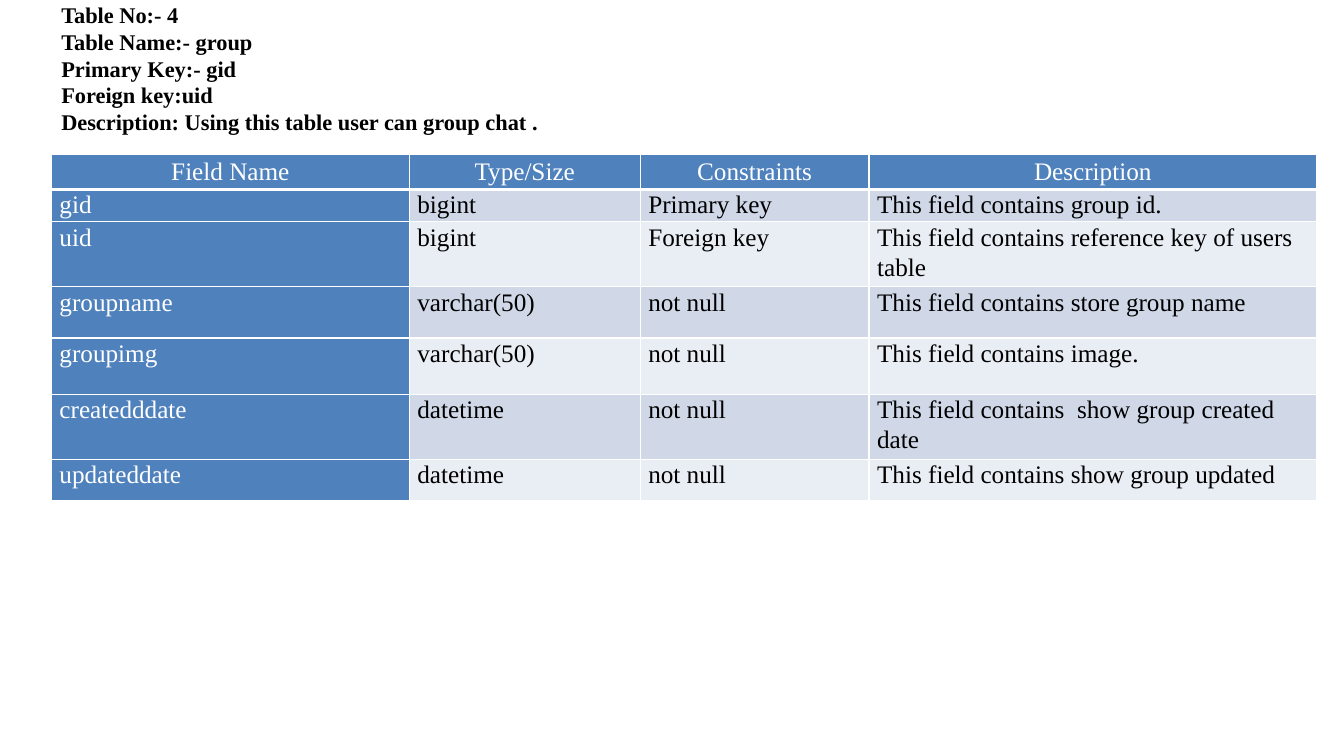
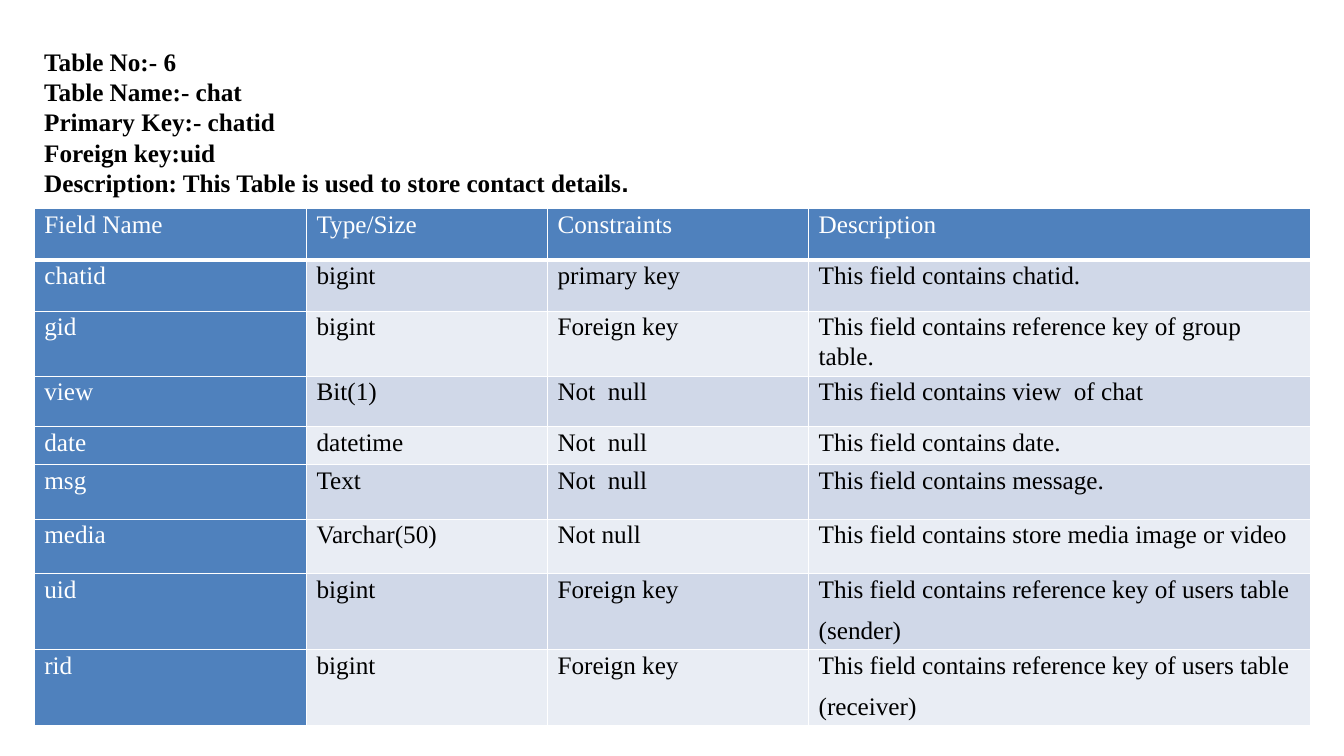
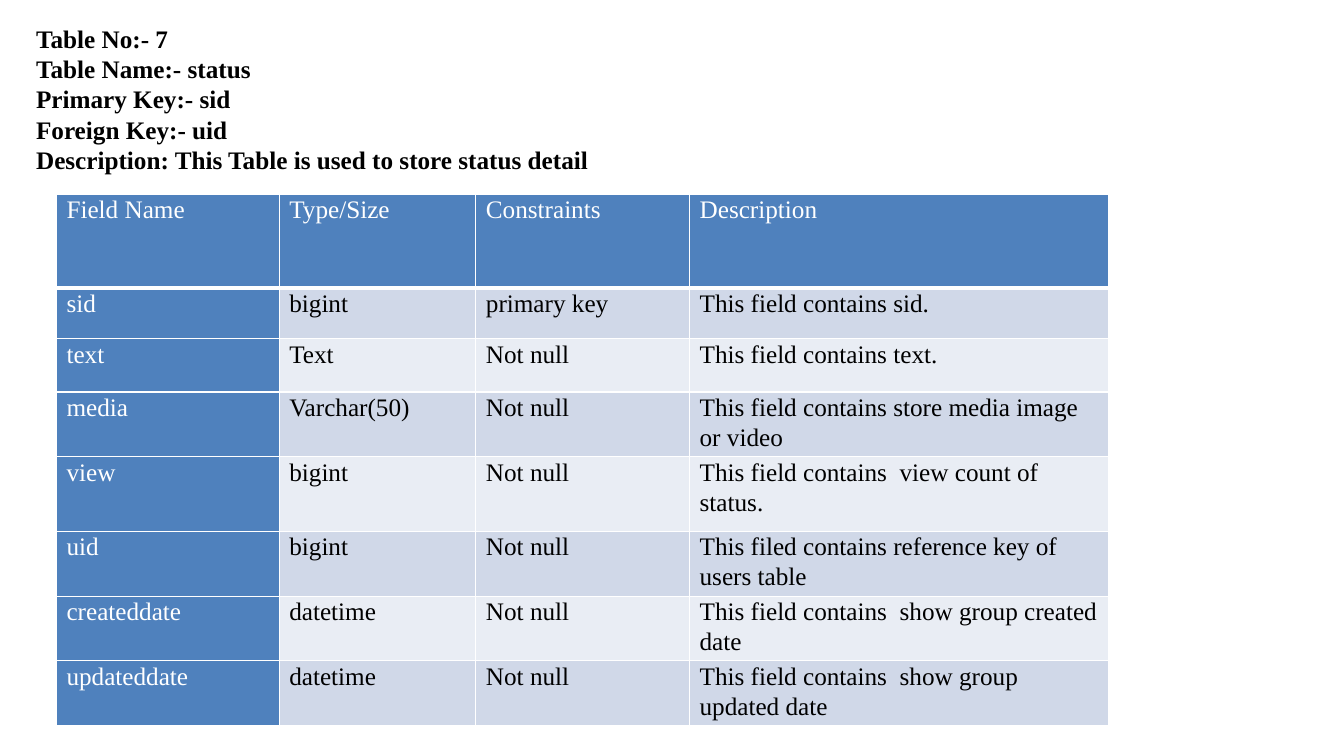
from lxml.etree import SubElement
from pptx import Presentation
from pptx.dml.color import RGBColor
from pptx.enum.text import PP_ALIGN
from pptx.oxml.ns import qn
from pptx.util import Inches, Pt

# Shared style
FONT = "Times New Roman"
WHITE = RGBColor(0xFF, 0xFF, 0xFF)
BLACK = RGBColor(0x00, 0x00, 0x00)
HEADER_BLUE = RGBColor(0x4F, 0x81, 0xBD)
BAND_DARK = RGBColor(0xD0, 0xD8, 0xE8)
BAND_LIGHT = RGBColor(0xE9, 0xED, 0xF4)
CELL_SIZE = 18
BLANK_LAYOUT = 6
COLUMN_TITLES = ("Field Name", "Type/Size", "Constraints", "Description")

# Content: one entry per slide
TABLE_SLIDES = [
    {
        "heading": [
            "Table No:- 4", "Table Name:- group", "Primary Key:- gid",
            "Foreign key:uid",
            "Description: Using this table user can group chat .",
        ],
        "heading_box": (0.51, -0.04, 7.76, 2.05),
        "heading_size": 16,
        "table_at": (0.51, 1.53),
        "widths": (3.55, 2.29, 2.27, 4.44),
        "heights": (0.35, 0.32, 0.42, 0.51, 0.56, 0.51, 0.41),
        "side_margin": 0.08,
        "header_align": PP_ALIGN.CENTER,
        "header_spacing": 1.15,
        "fields": [
            ("gid", "bigint", "Primary key", "This field contains group id."),
            ("uid", "bigint", "Foreign key",
             "This field contains reference key of users table"),
            ("groupname", "varchar(50)", "not null",
             "This field contains store group name"),
            ("groupimg", "varchar(50)", "not null", "This field contains image."),
            ("createdddate", "datetime", "not null",
             "This field contains  show group created date"),
            ("updateddate", "datetime", "not null",
             "This field contains show group updated"),
        ],
    },
    {
        "heading": [
            "Table No:- 6", "Table Name:- chat", "Primary Key:- chatid",
            "Foreign key:uid",
            "Description: This Table is used to store contact details",
        ],
        "heading_end": ".",
        "heading_box": (0.34, 0.41, 8, 2.22),
        "heading_size": 18,
        "table_at": (0.34, 2.07),
        "widths": (2.7, 2.39, 2.59, 4.98),
        "heights": (0.51, 0.51, 0.63, 0.5, 0.38, 0.54, 0.54, 0.69, 0.69),
        "side_margin": 0.1,
        "fields": [
            ("chatid", "bigint", "primary key", "This field contains chatid."),
            ("gid", "bigint", "Foreign key",
             "This field contains reference key of group table."),
            ("view", "Bit(1)", "Not  null", "This field contains view  of chat"),
            ("date", "datetime", "Not  null", "This field contains date."),
            ("msg", "Text", "Not  null", "This field contains message."),
            ("media", "Varchar(50)", "Not null",
             "This field contains store media image or video"),
            ("uid", "bigint", "Foreign key",
             "This field contains reference key of users table\n(sender)"),
            ("rid", "bigint", "Foreign key",
             "This field contains reference key of users table\n(receiver)"),
        ],
    },
    {
        "heading": [
            "Table No:- 7", "Table Name:- status", "Primary Key:- sid",
            "Foreign Key:- uid",
            "Description: This Table is used to store status detail",
        ],
        "heading_box": (0.26, 0.18, 7.63, 2.22),
        "heading_size": 18,
        "table_at": (0.56, 1.93),
        "widths": (2.21, 1.95, 2.12, 4.16),
        "heights": (0.93, 0.5, 0.53, 0.47, 0.74, 0.44, 0.44, 0.44),
        "side_margin": 0.1,
        "fields": [
            ("sid", "bigint", "primary key", "This field contains sid."),
            ("text", "Text", "Not null", "This field contains text."),
            ("media", "Varchar(50)", "Not null",
             "This field contains store media image or video"),
            ("view", "bigint", "Not null",
             "This field contains  view count of status."),
            ("uid", "bigint", "Not null",
             "This filed contains reference key of users table"),
            ("createddate", "datetime", "Not null",
             "This field contains  show group created date"),
            ("updateddate", "datetime", "Not null",
             "This field contains  show group updated date"),
        ],
    },
]


def add_run(paragraph, text, size, color, bold=False, font=FONT):
    run = paragraph.add_run()
    run.text = text
    run.font.name = font
    run.font.size = Pt(size)
    run.font.bold = bold
    run.font.color.rgb = color


def add_paragraphs(text_frame, lines):
    """Yield a paragraph with its line of text, reusing the first paragraph."""
    for index, line in enumerate(lines):
        yield text_frame.add_paragraph() if index else text_frame.paragraphs[0], line


def add_heading(slide, content):
    text_box = slide.shapes.add_textbox(*map(Inches, content["heading_box"]))
    text_frame = text_box.text_frame
    text_frame.word_wrap = True
    size = content["heading_size"]
    for paragraph, line in add_paragraphs(text_frame, content["heading"]):
        add_run(paragraph, line, size, BLACK, bold=True)
    if "heading_end" in content:
        add_run(paragraph, content["heading_end"], size, BLACK, bold=True, font="Arial")


def set_borders(cell, bottom_width):
    properties = cell._tc.get_or_add_tcPr()
    for side, width in (("L", 1), ("R", 1), ("T", 1), ("B", bottom_width)):
        line = SubElement(properties, qn(f"a:ln{side}"), w=str(Pt(width)))
        fill = SubElement(line, qn("a:solidFill"))
        SubElement(fill, qn("a:srgbClr"), val=str(WHITE))


def fill_cell(cell, text, background, color, content, is_header):
    set_borders(cell, 3 if is_header else 1)
    cell.fill.solid()
    cell.fill.fore_color.rgb = background
    cell.margin_left = cell.margin_right = Inches(content["side_margin"])
    cell.margin_top = cell.margin_bottom = 0
    for paragraph, line in add_paragraphs(cell.text_frame, text.split("\n")):
        paragraph.line_spacing = 1.07
        paragraph.space_after = Pt(8)
        if is_header:
            paragraph.alignment = content.get("header_align")
            paragraph.line_spacing = content.get("header_spacing", 1.07)
        add_run(paragraph, line, CELL_SIZE, color)


def add_field_table(slide, content):
    rows = [COLUMN_TITLES, *content["fields"]]
    widths, heights = content["widths"], content["heights"]
    left, top = content["table_at"]
    frame = slide.shapes.add_table(
        len(rows), len(widths), Inches(left), Inches(top),
        Inches(sum(widths)), Inches(sum(heights)))
    table = frame.table
    table.horz_banding = False
    for column, width in zip(table.columns, widths):
        column.width = Inches(width)
    for row, height in zip(table.rows, heights):
        row.height = Inches(height)

    # Header row and first column are blue; the other cells alternate by row
    for row_index, texts in enumerate(rows):
        band = BAND_DARK if row_index % 2 else BAND_LIGHT
        for column_index, text in enumerate(texts):
            is_blue = row_index == 0 or column_index == 0
            fill_cell(table.cell(row_index, column_index), text,
                      HEADER_BLUE if is_blue else band,
                      WHITE if is_blue else BLACK,
                      content, is_header=row_index == 0)


def main():
    presentation = Presentation()
    presentation.slide_width = Inches(13.33)
    presentation.slide_height = Inches(7.5)
    for content in TABLE_SLIDES:
        slide = presentation.slides.add_slide(presentation.slide_layouts[BLANK_LAYOUT])
        add_heading(slide, content)
        add_field_table(slide, content)
    presentation.save("out.pptx")


if __name__ == "__main__":
    main()
